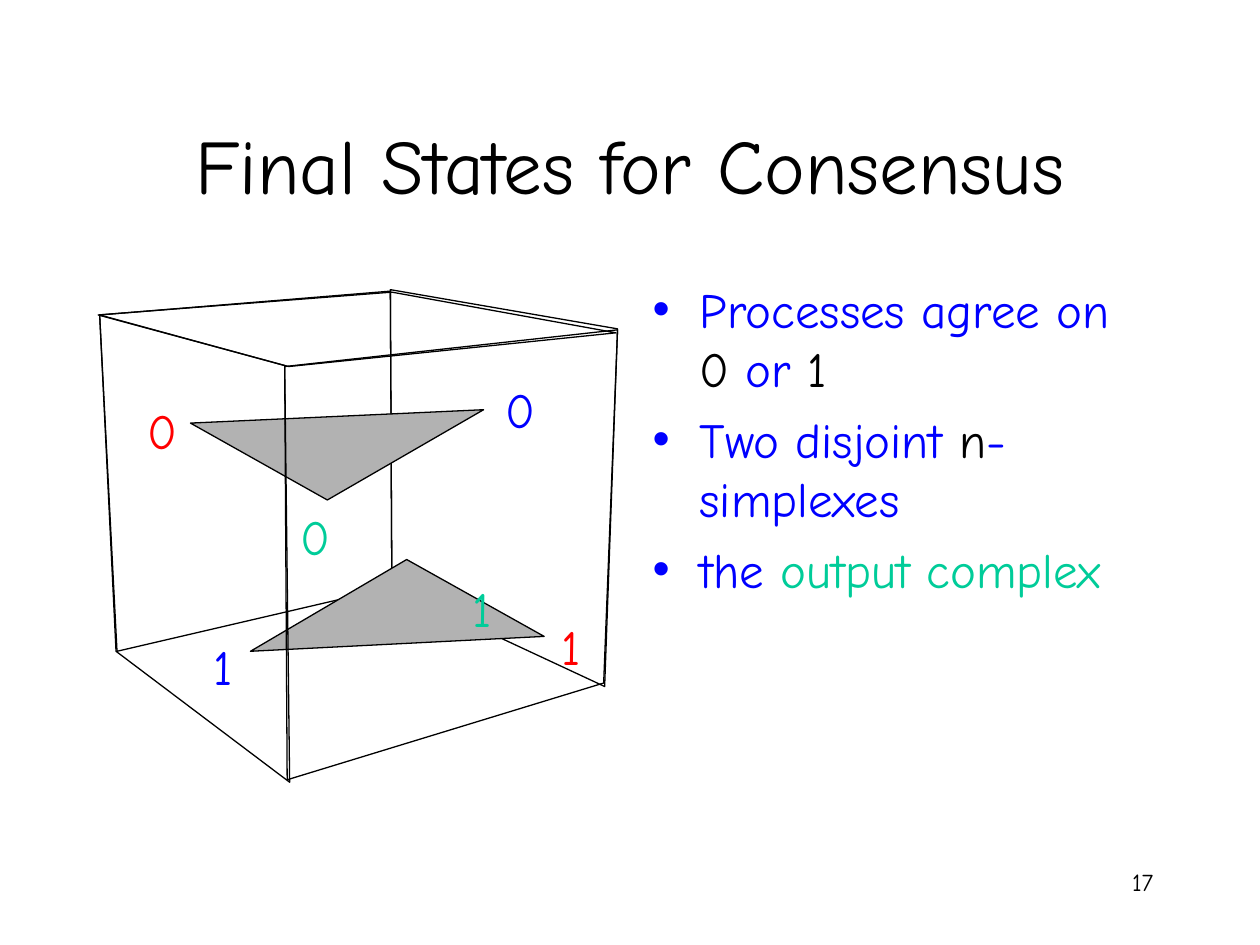
from lxml import etree
from pptx import Presentation, util as u
from pptx.dml.color import RGBColor
from pptx.enum import text
from pptx.oxml.ns import qn

BLACK, BLUE, RED = "000000", "0000FF", "FF0000"
GREEN, GREY = "00CC99", "B2B2B2"


def rgb(code):
    return RGBColor.from_string(code)


class Page:
    font = "Comic Neue"

    def __init__(self, deck):
        self.slide = deck.slides.add_slide(deck.slide_layouts[1])

    def place(self, shape, box):
        shape.left, shape.top, shape.width, shape.height = map(u.Cm, box)

    def style(self, para, size, color=None):
        para.font.name = self.font
        para.font.size = u.Pt(size)
        if color:
            para.font.color.rgb = rgb(color)

    def title(self, words, box):
        shape = self.slide.shapes.title
        self.place(shape, box)
        shape.text_frame.text = words
        self.style(shape.text_frame.paragraphs[0], 44, BLACK)

    def bullet(self, para, color):
        props = para._p.get_or_add_pPr()
        indent = u.Cm(0.95)
        props.set("marL", str(indent))
        props.set("indent", str(-indent))
        tint = etree.SubElement(props, qn("a:buClr"))
        etree.SubElement(tint, qn("a:srgbClr"), val=color)
        etree.SubElement(props, qn("a:buChar"), char="•")

    def body(self, items, box):
        shape = self.slide.placeholders[1]
        self.place(shape, box)
        frame = shape.text_frame
        frame.auto_size = text.MSO_AUTO_SIZE.NONE
        for i, parts in enumerate(items):
            para = frame.add_paragraph() if i else frame.paragraphs[0]
            para.space_before = u.Pt(7 if i else 0)
            self.bullet(para, BLUE)
            self.style(para, 28)
            for words, color in parts:
                run = para.add_run()
                run.text = words
                run.font.color.rgb = rgb(color)

    def label(self, words, box, size, color, align, anchor, wrap=False):
        shape = self.slide.shapes.add_textbox(*map(u.Cm, box))
        frame = shape.text_frame
        frame.word_wrap = wrap
        frame.vertical_anchor = anchor
        frame.text = words
        para = frame.paragraphs[0]
        para.alignment = align
        self.style(para, size, color)

    def digit(self, words, left, top, color):
        self.label(words, (left, top, 1.12, 1.45), 28, color,
                   text.PP_ALIGN.CENTER, text.MSO_ANCHOR.MIDDLE)

    def face(self, points, fill=None):
        first, *rest = [(u.Cm(x), u.Cm(y)) for x, y in points]
        pen = self.slide.shapes.build_freeform(*first)
        pen.add_line_segments(rest, close=True)
        shape = pen.convert_to_shape()
        shape.shadow.inherit = False
        shape.line.color.rgb = rgb(BLACK)
        shape.line.width = u.Pt(0.75)
        if fill:
            shape.fill.solid()
            shape.fill.fore_color.rgb = rgb(fill)
        else:
            shape.fill.background()


def main():
    deck = Presentation()
    deck.slide_width, deck.slide_height = u.Cm(25.4), u.Cm(19.05)
    page = Page(deck)

    # Title and list
    page.title("Final States for Consensus", (1.9, 1.7, 21.6, 3.18))
    page.body([
        [("Processes agree on ", BLUE), ("0", BLACK), (" or ", BLUE), ("1", BLACK)],
        [("Two disjoint ", BLUE), ("n", BLACK), ("-simplexes", BLUE)],
        [("the ", BLUE), ("output complex", GREEN)],
    ], (12.9, 5.51, 10.6, 11.43))

    # Back and top of the cube
    page.face([(7.9, 11.84), (12.19, 13.84), (12.45, 6.63), (7.87, 5.84)])
    page.face([(2.36, 13.13), (7.9, 11.84), (7.87, 5.87), (2.01, 6.35)])
    page.face([(1.98, 6.35), (5.82, 7.39), (12.42, 6.71), (7.9, 5.89)])

    # The two simplexes
    page.face([(8.2, 11.28), (10.97, 12.83), (5.05, 13.13)], GREY)
    page.face([(6.6, 10.08), (3.84, 8.53), (9.75, 8.26)], GREY)

    # Values at their corners
    for value in [("0", 9.93, 7.52, BLUE), ("0", 2.72, 7.95, RED),
                  ("0", 5.79, 10.08, GREEN), ("1", 10.95, 12.29, RED),
                  ("1", 3.94, 12.7, BLUE), ("1", 9.17, 11.53, GREEN)]:
        page.digit(*value)

    # Front of the cube
    page.face([(5.84, 15.77), (5.74, 7.37), (2.01, 6.35), (2.34, 13.13)])
    page.face([(5.74, 7.39), (5.79, 15.72), (12.17, 13.77), (12.45, 6.65)])

    # Page number
    page.label("17", (18.21, 17.35, 5.29, 1.27), 14, BLACK,
               text.PP_ALIGN.RIGHT, text.MSO_ANCHOR.TOP, wrap=True)

    deck.save("out.pptx")


if __name__ == "__main__":
    main()
